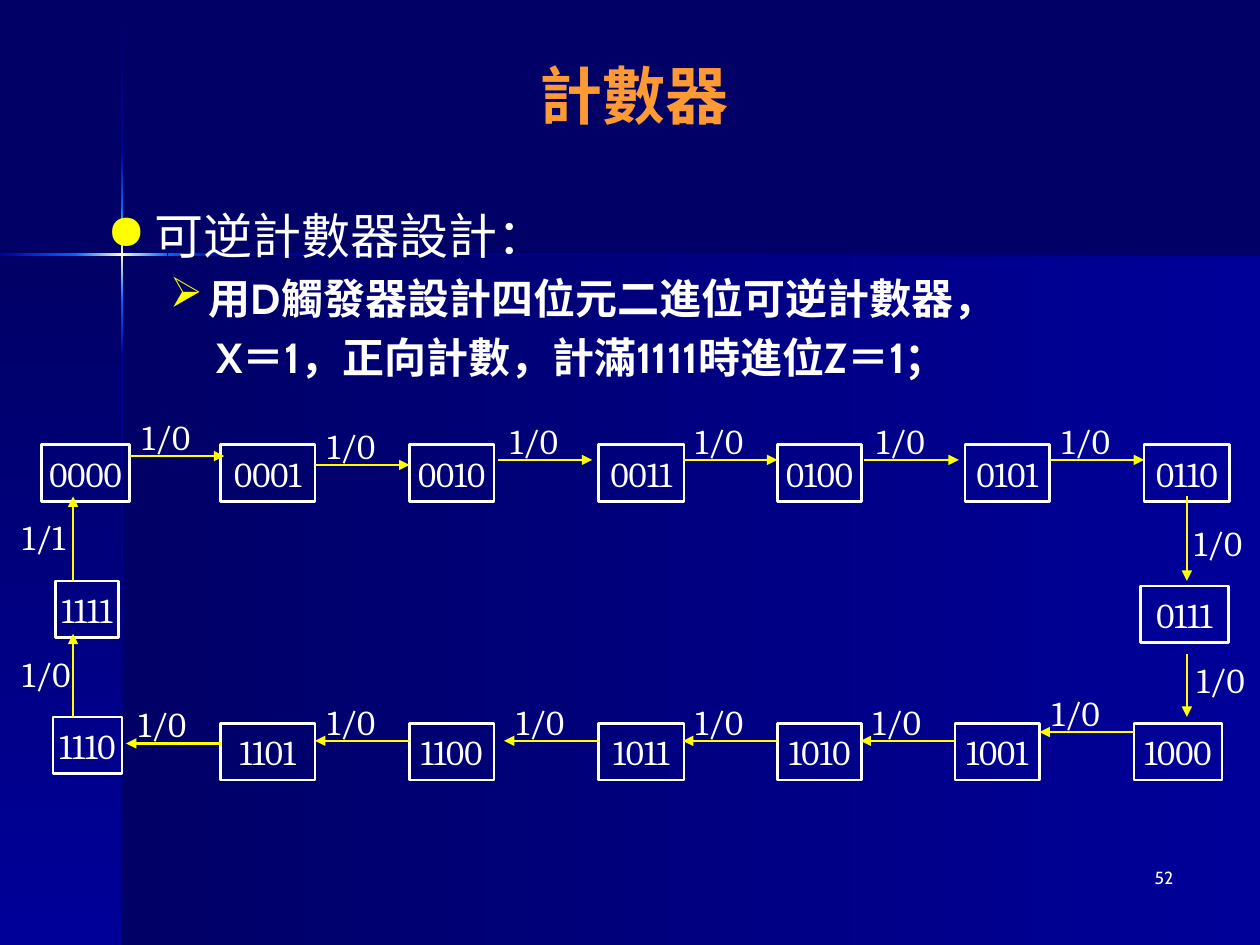
"""Build the slide on the state cycle of a four-bit counter."""
from copy import deepcopy

from lxml.etree import SubElement
from pptx import Presentation
from pptx.dml.color import RGBColor
from pptx.enum.shapes import MSO_CONNECTOR as LINE, MSO_SHAPE as SHAPE
from pptx.enum.text import MSO_ANCHOR as ANCHOR, PP_ALIGN as ALIGN
from pptx.oxml.ns import qn
from pptx.util import Inches, Pt

COLUMNS, ROWS = 10, 7.5
NAVY, BLUE, GLOW, SPARK = "000066", "000099", "0066FF", "FFFFCC"
WHITE, YELLOW, ORANGE = "FFFFFF", "FFFF00", "FF9933"
SANS, SERIF = "Cabin", "Cambria"
STATE_HEIGHT = 0.45
ARROW_LENGTH = 0.75
LABEL_SIZE = (0.62, 0.43)
LABEL_RISE = 0.37

PANELS = [
    ((0.97, 2.02, 9.03, 5.48), (NAVY, BLUE), False),
    ((0, 2.02, 0.97, 5.48), (NAVY, BLUE), True),
]
UPRIGHT_BEAM = [
    (0.01, 1.21, (NAVY, BLUE)),
    (2.82, 7.5, (BLUE, NAVY)),
    (2.38, 2.82, (GLOW, BLUE)),
    (1.21, 1.65, (BLUE, GLOW)),
    (1.65, 2.38, (GLOW, SPARK, GLOW)),
]
LEVEL_BEAM = [
    (1.77, 10, (BLUE, NAVY)),
    (0, 0.61, (BLUE, GLOW)),
    (1.33, 1.77, (GLOW, BLUE)),
    (0.6, 1.33, (GLOW, SPARK, GLOW)),
]
STATE_ROWS = {
    3.53: [("0000", 0.33, 0.7), ("0001", 1.75, 0.75), ("0010", 3.25, 0.67),
           ("0011", 4.75, 0.68), ("0100", 6.17, 0.67), ("0101", 7.66, 0.67),
           ("0110", 9.08, 0.68)],
    4.61: [("1111", 0.44, 0.5)],
    4.65: [("0111", 9.05, 0.7)],
    5.69: [("1110", 0.42, 0.55)],
    5.74: [("1101", 1.75, 0.75), ("1100", 3.25, 0.67), ("1011", 4.75, 0.68),
           ("1010", 6.17, 0.67), ("1001", 7.58, 0.67), ("1000", 9, 0.7)],
}
RIGHTWARD = [(1.03, 3.62), (2.5, 3.69), (3.95, 3.65), (5.42, 3.65),
             (6.86, 3.65), (8.33, 3.65)]
LEFTWARD = [(1, 5.9), (2.5, 5.88), (4, 5.88), (5.42, 5.88), (6.83, 5.88),
            (8.25, 5.81)]
UPRIGHT_MOVES = [
    ("1/0", 9.42, 3.94, 4.61, (9.38, 4.09)),
    ("1/0", 9.42, 5.19, 5.69, (9.4, 5.18)),
    ("1/0", 0.58, 5.69, 5.03, (0.08, 5.13)),
    ("1/1", 0.58, 4.61, 3.94, (0.08, 4.04)),
]


def color(code):
    """Turn a hex string into a colour."""
    return RGBColor.from_string(code)


def write(para, text, size=20, font=SERIF, ink=WHITE, bold=False, align=ALIGN.LEFT):
    """Put formatted text into a paragraph."""
    para.alignment = align
    span = para.add_run()
    span.text = text
    span.font.size = Pt(size)
    span.font.name = font
    span.font.bold = bold
    span.font.color.rgb = color(ink)


def add_text(page, area, text, anchor=ANCHOR.TOP, **style):
    """Add a wrapped text box with one paragraph."""
    frame = page.shapes.add_textbox(*map(Inches, area)).text_frame
    frame.word_wrap = True
    frame.vertical_anchor = anchor
    write(frame.paragraphs[0], text, **style)
    return frame


def set_indent(para, margin, hanging=0, bullet=None):
    """Indent a paragraph and give it a bullet if one is named."""
    props = para._p.get_or_add_pPr()
    props.set("marL", str(Inches(margin)))
    props.set("indent", str(-Inches(hanging)))
    if bullet:
        tint = SubElement(props, qn("a:buClr"))
        SubElement(tint, qn("a:srgbClr"), val=YELLOW)
        SubElement(props, qn("a:buChar"), char=bullet)


def add_rectangle(page, area):
    """Add a rectangle without a shadow."""
    box = page.shapes.add_shape(SHAPE.RECTANGLE, *map(Inches, area))
    box.shadow.inherit = False
    return box


def add_gradient(page, area, shades, upright):
    """Add a rectangle whose shades run rightward or downward."""
    box = add_rectangle(page, area)
    box.line.fill.background()
    box.fill.gradient()
    box.fill.gradient_angle = 270 if upright else 0
    stop_list = next(box._element.spPr.iter(qn("a:gsLst")))
    for _ in shades[2:]:
        stop_list.append(deepcopy(stop_list[0]))
    for index, (stop, shade) in enumerate(zip(box.fill.gradient_stops, shades)):
        stop.position = index / (len(shades) - 1)
        stop.color.rgb = color(shade)


def add_backdrop(page):
    """Paint the background panels and the crossing beams."""
    page.background.fill.solid()
    page.background.fill.fore_color.rgb = color(NAVY)
    for area, shades, upright in PANELS:
        add_gradient(page, area, shades, upright)
    for top, bottom, shades in UPRIGHT_BEAM:
        add_gradient(page, (0.96, top, 0.02, bottom - top), shades, True)
    for left, right, shades in LEVEL_BEAM:
        add_gradient(page, (left, 2.01, right - left, 0.02), shades, False)


def add_body(page):
    """Add the bulleted design task."""
    frame = add_text(page, (0.75, 1.58, 8.67, 5.08), "可逆計數器設計：", size=28, font=SANS)
    set_indent(frame.paragraphs[0], 0.38, 0.38, "●")
    for text, layout in [
        ("用D觸發器設計四位元二進位可逆計數器，", (0.81, 0.31, "➢")),
        ("X＝1，正向計數，計滿1111時進位Z＝1；", (0.87,)),
    ]:
        para = frame.add_paragraph()
        para.level = 1
        set_indent(para, *layout)
        para.space_before = Pt(4.8)
        write(para, text, size=24, font=SANS, bold=True)


def add_state(page, text, left, top, width):
    """Add an outlined box holding a state code."""
    box = add_rectangle(page, (left, top, width, STATE_HEIGHT))
    box.fill.background()
    box.line.color.rgb = color(WHITE)
    box.line.width = Pt(1.5)
    frame = box.text_frame
    frame.margin_left = frame.margin_right = 0
    frame.word_wrap = False
    frame.vertical_anchor = ANCHOR.MIDDLE
    write(frame.paragraphs[0], text, align=ALIGN.CENTER)


def add_move(page, text, start, end, label_at):
    """Add an arrow between states and its input/output label."""
    arrow = page.shapes.add_connector(LINE.STRAIGHT, *map(Inches, start + end))
    arrow.line.color.rgb = color(YELLOW)
    arrow.line.width = Pt(1.5)
    SubElement(arrow.line._get_or_add_ln(), qn("a:tailEnd"), type="triangle")
    SubElement(arrow._element.spPr, qn("a:effectLst"))
    add_text(page, label_at + LABEL_SIZE, text)


def add_cycle(page):
    """Draw all states and the moves between them."""
    for top, states in STATE_ROWS.items():
        for text, left, width in states:
            add_state(page, text, left, top, width)
    for moves, forward in ((RIGHTWARD, True), (LEFTWARD, False)):
        for left, level in moves:
            ends = [(left, level), (left + ARROW_LENGTH, level)]
            start, end = ends if forward else reversed(ends)
            add_move(page, "1/0", start, end, (left, level - LABEL_RISE))
    for text, across, begin, finish, label_at in UPRIGHT_MOVES:
        add_move(page, text, (across, begin), (across, finish), label_at)


def main():
    """Build and save the deck."""
    deck = Presentation()
    deck.slide_width, deck.slide_height = Inches(COLUMNS), Inches(ROWS)
    page = deck.slides.add_slide(deck.slide_layouts[6])
    add_backdrop(page)
    add_text(page, (0.5, 0.33, 9.17, 0.83), "計數器 ", anchor=ANCHOR.MIDDLE,
             size=36, font=SANS, ink=ORANGE, bold=True, align=ALIGN.CENTER)
    add_body(page)
    add_text(page, (7.33, 6.83, 2.08, 0.5), "52", size=10, font=SANS, align=ALIGN.RIGHT)
    add_cycle(page)
    deck.save("out.pptx")


if __name__ == "__main__":
    main()
